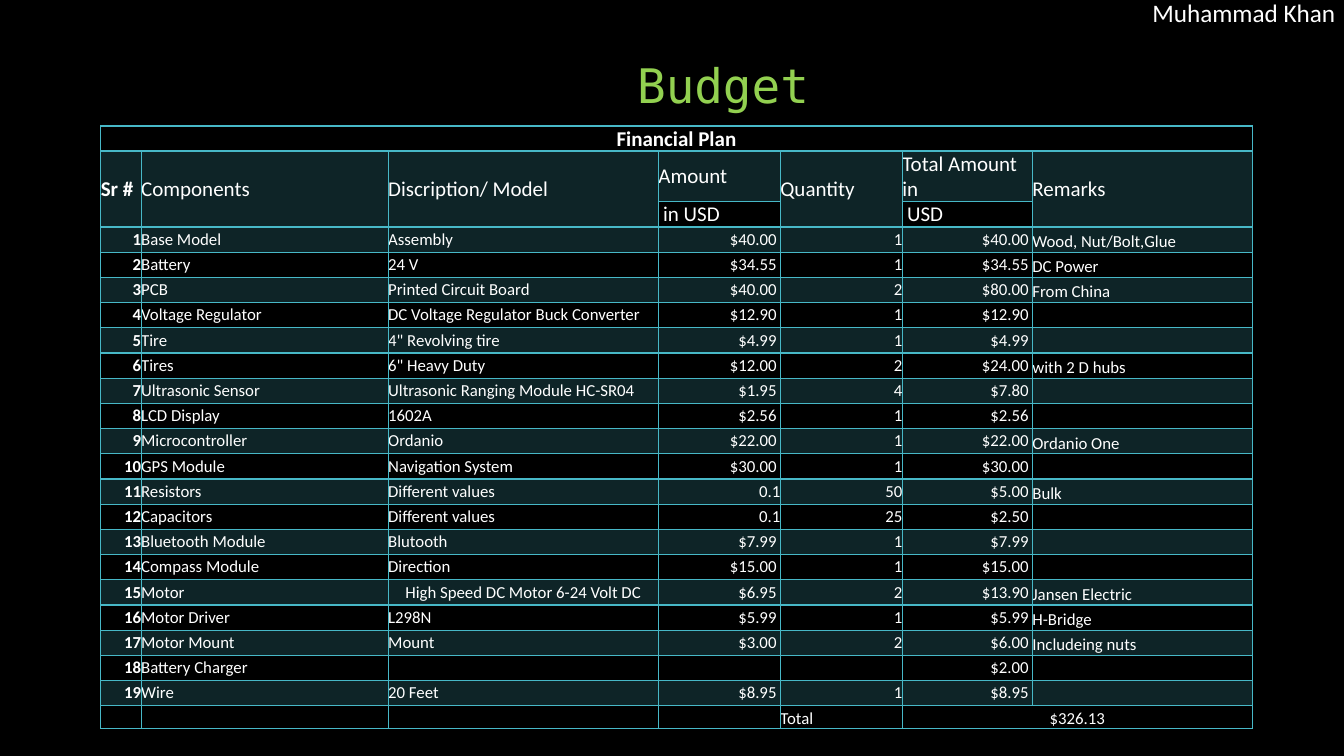
from pptx import Presentation
from pptx.dml.color import RGBColor
from pptx.enum.text import MSO_ANCHOR, MSO_AUTO_SIZE, PP_ALIGN
from pptx.oxml.ns import qn
from pptx.util import Inches, Pt
from lxml import etree

BLACK = RGBColor(0x00, 0x00, 0x00)
WHITE = RGBColor(0xFF, 0xFF, 0xFF)
GREEN = RGBColor(0x92, 0xD0, 0x50)
TEAL = RGBColor(0x47, 0xB8, 0xC7)
LEFT, CENTER, RIGHT = PP_ALIGN.LEFT, PP_ALIGN.CENTER, PP_ALIGN.RIGHT
TOP, MIDDLE, BOTTOM = MSO_ANCHOR.TOP, MSO_ANCHOR.MIDDLE, MSO_ANCHOR.BOTTOM
FIT_SHAPE = MSO_AUTO_SIZE.SHAPE_TO_FIT_TEXT

COLUMN_WIDTHS = [0.4, 2.45, 2.68, 1.21, 1.21, 1.29, 2.18]
NUMERIC_COLUMNS = (0, 3, 4, 5)
REMARKS = 6
HEADER_ROWS = [
    ("Financial Plan", "", "", "", "", "", ""),
    ("Sr #", "Components", "Discription/ Model", "Amount", "Quantity",
     "Total Amount in", "Remarks"),
    ("", "", "", " in USD", "", " USD", ""),
]
ITEMS = [
    ("Base Model", "Assembly", "$40.00 ", "1", "$40.00 ", "Wood, Nut/Bolt,Glue"),
    ("Battery", "24 V", "$34.55 ", "1", "$34.55 ", "DC Power"),
    ("PCB", "Printed Circuit Board", "$40.00 ", "2", "$80.00 ", "From China"),
    ("Voltage Regulator", "DC Voltage Regulator Buck Converter", "$12.90 ", "1", "$12.90 ", ""),
    ("Tire", '4" Revolving tire', "$4.99 ", "1", "$4.99 ", ""),
    ("Tires", '6" Heavy Duty', "$12.00 ", "2", "$24.00 ", "with 2 D hubs"),
    ("Ultrasonic Sensor", "Ultrasonic Ranging Module HC-SR04", "$1.95 ", "4", "$7.80 ", ""),
    ("LCD Display", "1602A", "$2.56 ", "1", "$2.56 ", ""),
    ("Microcontroller", "Ordanio", "$22.00 ", "1", "$22.00 ", "Ordanio One"),
    ("GPS Module", "Navigation System", "$30.00 ", "1", "$30.00 ", ""),
    ("Resistors", "Different values", "0.1", "50", "$5.00 ", "Bulk"),
    ("Capacitors", "Different values", "0.1", "25", "$2.50 ", ""),
    ("Bluetooth Module", "Blutooth", "$7.99 ", "1", "$7.99 ", ""),
    ("Compass Module", "Direction", "$15.00 ", "1", "$15.00 ", ""),
    ("Motor", "High Speed DC Motor 6-24 Volt DC", "$6.95 ", "2", "$13.90 ", "Jansen Electric"),
    ("Motor Driver", "L298N", "$5.99 ", "1", "$5.99 ", "H-Bridge"),
    ("Motor Mount", "Mount", "$3.00 ", "2", "$6.00 ", "Includeing nuts"),
    ("Battery Charger", "", "", "", "$2.00 ", ""),
    ("Wire", "20 Feet", "$8.95 ", "1", "$8.95 ", ""),
]
TOTAL_ROW = ("", "", "", "", "Total", "$326.13", "")
CENTERED = ("Financial Plan", "High Speed DC Motor 6-24 Volt DC", "$326.13")


class SlideBuilder:
    font = "Calibri"
    color = WHITE
    line_color = TEAL

    def __init__(self, slide):
        self.slide = slide

    def background(self, color):
        fill = self.slide.background.fill
        fill.solid()
        fill.fore_color.rgb = color

    def paragraph(self, p, text, size, font=None, color=None, bold=False, align=LEFT):
        p.text = text
        p.alignment = align
        for r in p.runs:
            r.font.name = font or self.font
            r.font.size = Pt(size)
            r.font.bold = bold
            r.font.color.rgb = color or self.color
        if not text:
            etree.SubElement(p._p, qn("a:endParaRPr"), sz=str(size * 100))

    def text(self, text, left, top, width, height, size, font=None, color=None,
             anchor=TOP, wrap=True, inset_left=0.1, inset_bottom=0.05, line_spacing=1.0):
        sp = self.slide.shapes.add_textbox(
            Inches(left), Inches(top), Inches(width), Inches(height))
        tf = sp.text_frame
        tf.word_wrap = wrap
        if not wrap:
            tf.auto_size = FIT_SHAPE
        tf.vertical_anchor = anchor
        tf.margin_left, tf.margin_bottom = Inches(inset_left), Inches(inset_bottom)
        p = tf.paragraphs[0]
        p.line_spacing = line_spacing
        self.paragraph(p, text, size, font, color)

    def borders(self, cell, bottom):
        tc_pr = cell._tc.get_or_add_tcPr()
        for side, width in (("L", 1), ("R", 1), ("T", 1), ("B", bottom)):
            ln = etree.SubElement(tc_pr, qn("a:ln" + side), w=str(Pt(width)))
            fill = etree.SubElement(ln, qn("a:solidFill"))
            etree.SubElement(fill, qn("a:srgbClr"), val=str(self.line_color))

    def tint(self, cell, percent):
        cell.fill.solid()
        cell.fill.fore_color.rgb = self.line_color
        color = cell._tc.tcPr.find(qn("a:solidFill")).find(qn("a:srgbClr"))
        etree.SubElement(color, qn("a:alpha"), val=str(percent * 1000))

    def cell(self, cell, text, size, bold, align, anchor, tinted, bottom):
        cell.margin_left = cell.margin_right = 0
        cell.margin_top = cell.margin_bottom = 0
        cell.vertical_anchor = anchor
        self.borders(cell, bottom)
        if tinted:
            self.tint(cell, 20)
        else:
            cell.fill.background()
        self.paragraph(cell.text_frame.paragraphs[0], text, size, bold=bold, align=align)

    def budget_table(self, left, top, row_height, last_height):
        rows = HEADER_ROWS + [(str(n), *item) for n, item in enumerate(ITEMS, 1)] + [TOTAL_ROW]
        last = len(rows) - 1
        table = self.slide.shapes.add_table(
            len(rows), len(COLUMN_WIDTHS), Inches(left), Inches(top),
            Inches(sum(COLUMN_WIDTHS)), Inches(last * row_height + last_height)).table
        table.first_row = table.horz_banding = False
        for column, width in zip(table.columns, COLUMN_WIDTHS):
            column.width = Inches(width)
        for i, row in enumerate(rows):
            table.rows[i].height = Inches(last_height if i == last else row_height)
            is_header = i < len(HEADER_ROWS)
            is_item = not is_header and i < last
            for j, text in enumerate(row):
                align = RIGHT if is_item and j in NUMERIC_COLUMNS else LEFT
                at_bottom = i == last or (is_item and j == REMARKS)
                self.cell(table.cell(i, j), text,
                          size=15 if is_header else 12,
                          bold=i == 0 or j == 0,
                          align=CENTER if text in CENTERED else align,
                          anchor=BOTTOM if at_bottom else MIDDLE,
                          tinted=i % 2 == 1,
                          bottom=2 if i == 0 else 1)
        table.cell(0, 0).merge(table.cell(0, REMARKS))
        for j in (0, 1, 2, 4, REMARKS):
            table.cell(1, j).merge(table.cell(2, j))
        table.cell(last, 5).merge(table.cell(last, REMARKS))


def main():
    prs = Presentation()
    prs.slide_width, prs.slide_height = Inches(13.33), Inches(7.5)
    s = SlideBuilder(prs.slides.add_slide(prs.slide_layouts[6]))
    s.background(BLACK)
    s.text("Budget", 1.67, 0.5, 10, 1.25, 34, "DejaVu Sans Mono", GREEN, anchor=BOTTOM,
           inset_left=4.65, inset_bottom=0.62, line_spacing=0.9)
    s.budget_table(1, 1.25, row_height=0.25, last_height=0.23)
    s.text("Muhammad Khan", 11.33, -0.08, 2.09, 0.4, 18, wrap=False)
    prs.save("out.pptx")


if __name__ == "__main__":
    main()
